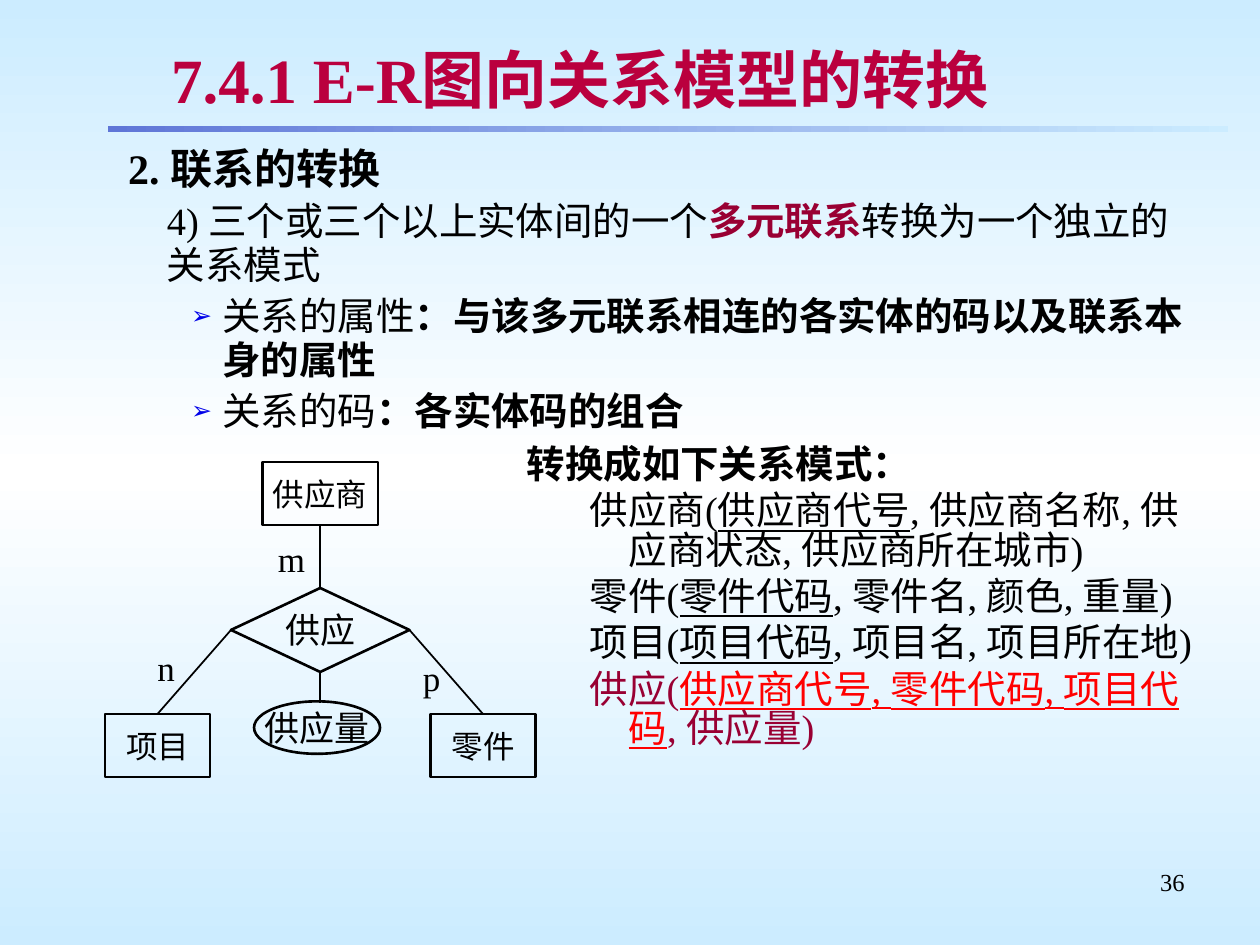
from copy import deepcopy

from lxml.etree import SubElement
from pptx import Presentation
from pptx.dml.color import RGBColor
from pptx.enum.shapes import MSO_CONNECTOR, MSO_SHAPE
from pptx.enum.text import MSO_ANCHOR, MSO_AUTO_SIZE, PP_ALIGN
from pptx.oxml.ns import qn
from pptx.util import Pt

PX = 7620  # 120 px to the inch
BLACK = RGBColor(0x00, 0x00, 0x00)
WHITE = RGBColor(0xFF, 0xFF, 0xFF)
SKY = RGBColor(0xCC, 0xEC, 0xFF)
BAR_BLUE = RGBColor(0x5F, 0x76, 0xD7)
CRIMSON = RGBColor(0xBA, 0x00, 0x3E)
MAROON = RGBColor(0x99, 0x00, 0x33)
RED = RGBColor(0xFF, 0x00, 0x00)
SERIF, SANS = "Times New Roman", "Arial"


def write(paragraph, text, size=22, font=SERIF, color=BLACK, bold=False, underline=False):
    """Append one formatted run to the paragraph and return it."""
    run = paragraph.add_run()
    run.text = text
    run.font.size = Pt(size)
    run.font.name = font
    run.font.color.rgb = color
    run.font.bold = bold
    run.font.underline = underline
    return run


def outline(frame, level, left, hanging, spacing, bullet=False):
    """Return the next paragraph of the frame, set at an outline level."""
    first = not frame.paragraphs[0].runs
    paragraph = frame.paragraphs[0] if first else frame.add_paragraph()
    paragraph.level = level
    paragraph.line_spacing = spacing
    paragraph.space_before = Pt(0 if first else 4.1)
    properties = paragraph._p.get_or_add_pPr()
    properties.set("marL", str(left * PX))
    properties.set("indent", str(-hanging * PX))
    if bullet:
        color = SubElement(properties, qn("a:buClr"))
        SubElement(color, qn("a:srgbClr"), val="0000E8")
        SubElement(properties, qn("a:buSzPct"), val="65000")
        SubElement(properties, qn("a:buChar"), char="➢")
    else:
        SubElement(properties, qn("a:buNone"))
    return paragraph


prs = Presentation()
prs.slide_width, prs.slide_height = 1200 * PX, 900 * PX
slide = prs.slides.add_slide(prs.slide_layouts[1])
shapes = slide.shapes

# Background: sky, white in the middle, sky
sky = slide.background.fill
sky.gradient()
sky.gradient_angle = 90
for stop in sky.gradient_stops:
    stop.color.rgb = SKY
stop_list = slide.element.find(".//" + qn("a:gsLst"))
stop_list.insert(1, deepcopy(stop_list[0]))
middle = sky.gradient_stops[1]
middle.position = 0.5
middle.color.rgb = WHITE

# Bar under the title
bar = shapes.add_shape(MSO_SHAPE.RECTANGLE, 103 * PX, 120 * PX, 1067 * PX, 6 * PX)
bar.shadow.inherit = False
bar.line.fill.background()
bar.fill.gradient()
bar.fill.gradient_angle = 0
for stop, color in zip(bar.fill.gradient_stops, (BAR_BLUE, SKY)):
    stop.color.rgb = color

# Title with a soft text shadow
title = shapes.title
title.left, title.top, title.width, title.height = 151 * PX, 35 * PX, 989 * PX, 80 * PX
title.text_frame.vertical_anchor = MSO_ANCHOR.MIDDLE
title.text_frame.auto_size = MSO_AUTO_SIZE.NONE
heading = title.text_frame.paragraphs[0]
heading.alignment = PP_ALIGN.LEFT
heading_run = write(heading, "7.4.1 E-R图向关系模型的转换", size=36, color=CRIMSON, bold=True)
run_properties = heading_run._r.get_or_add_rPr()
effects = SubElement(run_properties, qn("a:effectLst"))
run_properties.find(qn("a:solidFill")).addnext(effects)
shadow = SubElement(effects, qn("a:outerShdw"), dist="35921", dir="2700000")
SubElement(shadow, qn("a:srgbClr"), val="C0C0C0")

# Rules for converting relationships
rules = slide.placeholders[1]
rules.left, rules.top, rules.width, rules.height = 50 * PX, 130 * PX, 1110 * PX, 290 * PX
frame = rules.text_frame
frame.auto_size = MSO_AUTO_SIZE.NONE
write(outline(frame, 1, 97, 37, 1.0), "2. 联系的转换", size=24, bold=True)
case = outline(frame, 1, 97, 37, 0.95)
write(case, "\t4) 三个或三个以上实体间的一个")
write(case, "多元联系", color=MAROON, bold=True)
write(case, "转换为一个独立的关系模式")
for term, meaning in (
    ("关系的属性", "：与该多元联系相连的各实体的码以及联系本身的属性"),
    ("关系的码", "：各实体码的组合"),
):
    rule = outline(frame, 2, 150, 30, 0.95, bullet=True)
    write(rule, term)
    write(rule, meaning, bold=True)

# Resulting relation schemas, keys underlined
schemas = shapes.add_textbox(490 * PX, 420 * PX, 670 * PX, 410 * PX).text_frame
schemas.word_wrap = True
write(outline(schemas, 0, 45, 45, 0.85), "转换成如下关系模式：", bold=True)
for relation, key, attributes in (
    ("供应商(", "供应商代号", ", 供应商名称, 供应商状态, 供应商所在城市)"),
    ("零件(", "零件代码", ", 零件名, 颜色, 重量)"),
    ("项目(", "项目代码", ", 项目名, 项目所在地)"),
):
    schema = outline(schemas, 1, 97, 37, 0.85)
    write(schema, relation)
    write(schema, key, underline=True)
    write(schema, attributes)
supply_schema = outline(schemas, 1, 97, 37, 0.85)
write(supply_schema, "供应(", color=MAROON)
write(supply_schema, "供应商代号, 零件代码, 项目代码", color=RED, underline=True)
write(supply_schema, ", ", color=MAROON)
write(supply_schema, "供应量", font=SANS, color=MAROON)
write(supply_schema, ")", color=MAROON)

# E-R diagram: entities, relationship and its attribute
nodes = {}
for name, kind, left, top, width, height, size in (
    ("项目", MSO_SHAPE.RECTANGLE, 100, 680, 100, 60, 18),
    ("供应商", MSO_SHAPE.RECTANGLE, 250, 440, 110, 60, 18),
    ("零件", MSO_SHAPE.RECTANGLE, 410, 680, 100, 60, 18),
    ("供应", MSO_SHAPE.DIAMOND, 220, 560, 170, 80, 20),
    ("供应量", MSO_SHAPE.OVAL, 242, 668, 120, 50, 20),
):
    node = shapes.add_shape(kind, left * PX, top * PX, width * PX, height * PX)
    node.shadow.inherit = False
    node.fill.background()
    node.line.color.rgb = BLACK
    node.line.width = Pt(1.5)
    node.text_frame.word_wrap = False
    node.text_frame.vertical_anchor = MSO_ANCHOR.MIDDLE
    label = node.text_frame.paragraphs[0]
    label.alignment = PP_ALIGN.CENTER
    write(label, name, size=size, font=SANS)
    nodes[name] = node

# Links leave a corner of the diamond; the attribute link ends just inside its oval
for corner, start, end, entity, side in (
    (0, (305, 560), (305, 500), "供应商", 2),
    (1, (220, 600), (150, 680), "项目", 0),
    (3, (390, 600), (460, 680), "零件", 0),
    (2, (305, 640), (305, 670), None, None),
):
    link = shapes.add_connector(
        MSO_CONNECTOR.STRAIGHT, start[0] * PX, start[1] * PX, end[0] * PX, end[1] * PX
    )
    link.begin_connect(nodes["供应"], corner)
    if entity:
        link.end_connect(nodes[entity], side)
    link.line.color.rgb = BLACK
    link.line.width = Pt(1)
    SubElement(link._element.spPr, qn("a:effectLst"))

# Cardinalities and slide number
for text, left, top, width, height, size, alignment in (
    ("m", 253, 506, 50, 53, 20, PP_ALIGN.LEFT),
    ("n", 138, 610, 50, 53, 20, PP_ALIGN.LEFT),
    ("p", 391, 619, 50, 53, 20, PP_ALIGN.LEFT),
    ("36", 860, 820, 280, 62, 14, PP_ALIGN.RIGHT),
):
    caption = shapes.add_textbox(left * PX, top * PX, width * PX, height * PX).text_frame
    caption.word_wrap = True
    caption.paragraphs[0].alignment = alignment
    write(caption.paragraphs[0], text, size=size)

prs.save("out.pptx")
